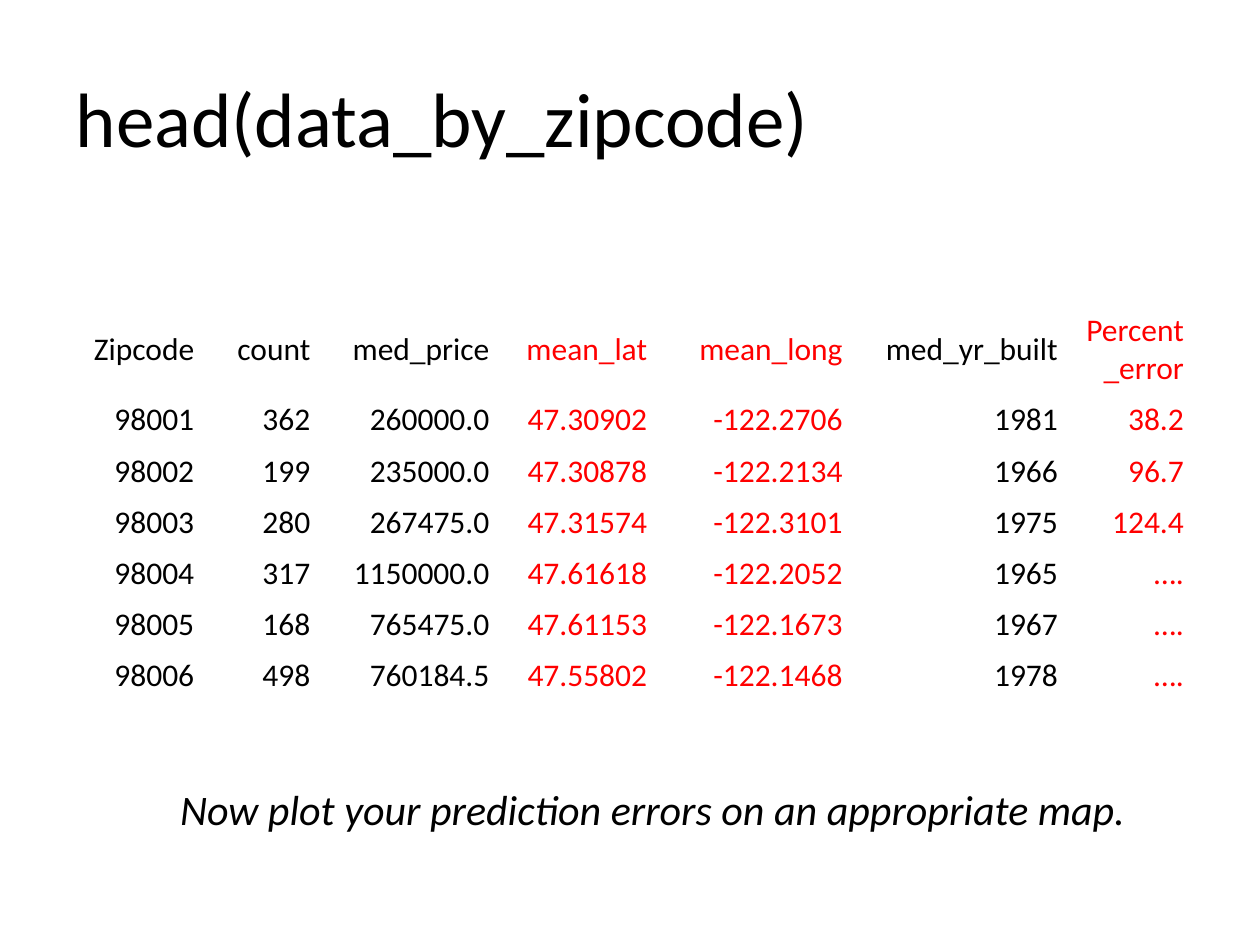
import dataclasses
import pptx
import pptx.util
import pptx.dml.color
import pptx.enum.text

Cm = pptx.util.Cm
ALIGN = pptx.enum.text.PP_ALIGN
ANCHOR = pptx.enum.text.MSO_ANCHOR


@dataclasses.dataclass(frozen=True)
class Theme:
    font: str = "Calibri"
    ink: str = "000000"
    accent: str = "FF0000"
    title_size: int = 44
    caption_size: int = 24
    table_size: int = 18


THEME = Theme()

COLUMNS = [
    ("Zipcode", 3.33, THEME.ink),
    ("count", 2.34, THEME.ink),
    ("med_price", 3.61, THEME.ink),
    ("mean_lat", 3.18, THEME.accent),
    ("mean_long", 3.94, THEME.accent),
    ("med_yr_built", 4.34, THEME.ink),
    ("Percent_error", 2.54, THEME.accent),
]
ZIPCODES = [
    ("98001", "362", "260000.0", "47.30902", "-122.2706", "1981", "38.2"),
    ("98002", "199", "235000.0", "47.30878", "-122.2134", "1966", "96.7"),
    ("98003", "280", "267475.0", "47.31574", "-122.3101", "1975", "124.4"),
    ("98004", "317", "1150000.0", "47.61618", "-122.2052", "1965", "\u2026."),
    ("98005", "168", "765475.0", "47.61153", "-122.1673", "1967", "\u2026."),
    ("98006", "498", "760184.5", "47.55802", "-122.1468", "1978", "\u2026."),
]
HEADER_HEIGHT = 1.8
ROW_HEIGHT = 1.03


def write(tf, text, size, color=THEME.ink, italic=None, align=ALIGN.LEFT):
    p = tf.paragraphs[0]
    p.alignment = align
    r = p.add_run()
    r.text = text
    r.font.name = THEME.font
    r.font.size = pptx.util.Pt(size)
    r.font.italic = italic
    r.font.color.rgb = pptx.dml.color.RGBColor.from_string(color)


def add_title(s, text):
    sp = s.shapes.title
    sp.left, sp.top, sp.width, sp.height = Cm(1.27), Cm(0.76), Cm(22.86), Cm(3.18)
    sp.text_frame.vertical_anchor = ANCHOR.MIDDLE
    write(sp.text_frame, text, THEME.title_size)


def add_data_table(s, left, top):
    rows = [[name for name, _, _ in COLUMNS], *ZIPCODES]
    width = sum(w for _, w, _ in COLUMNS)
    height = HEADER_HEIGHT + ROW_HEIGHT * len(ZIPCODES)
    table = s.shapes.add_table(
        len(rows), len(COLUMNS), Cm(left), Cm(top), Cm(width), Cm(height)
    ).table
    table.first_row = False
    table.horz_banding = False
    for column, (_, w, _) in zip(table.columns, COLUMNS):
        column.width = Cm(w)
    for i, values in enumerate(rows):
        table.rows[i].height = Cm(ROW_HEIGHT if i else HEADER_HEIGHT)
        for j, value in enumerate(values):
            cell = table.cell(i, j)
            cell.fill.background()
            cell.vertical_anchor = ANCHOR.MIDDLE
            write(cell.text_frame, value, THEME.table_size,
                  color=COLUMNS[j][2], align=ALIGN.RIGHT)


def add_caption(s, text, left, top, width, height):
    tf = s.shapes.add_textbox(Cm(left), Cm(top), Cm(width), Cm(height)).text_frame
    tf.word_wrap = True
    tf.auto_size = pptx.enum.text.MSO_AUTO_SIZE.SHAPE_TO_FIT_TEXT
    write(tf, text, THEME.caption_size, italic=True)


def main():
    prs = pptx.Presentation()
    prs.slide_width, prs.slide_height = Cm(25.4), Cm(19.05)
    s = prs.slides.add_slide(prs.slide_layouts[5])
    add_title(s, "head(data_by_zipcode)")
    add_data_table(s, 0.84, 6.15)
    add_caption(s, "Now plot your prediction errors on an appropriate map.",
                3.38, 15.67, 19.69, 1.27)
    prs.save("out.pptx")


main()
